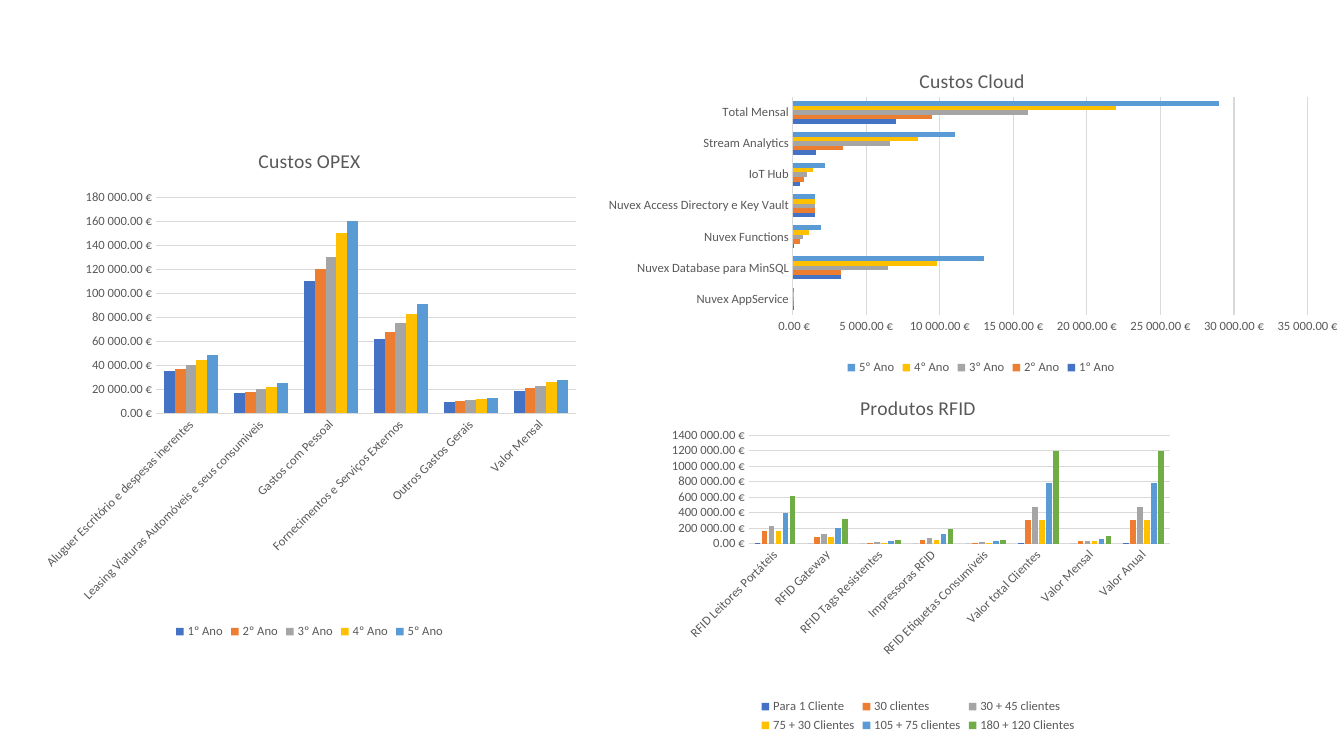
from lxml import etree
from pptx import Presentation
from pptx.chart.data import CategoryChartData as Data
from pptx.dml.color import RGBColor as RGB
from pptx.enum.chart import XL_CHART_TYPE as Kind, XL_LEGEND_POSITION as Side, XL_TICK_MARK as Tick
from pptx.oxml.ns import qn
from pptx.util import Inches, Pt

FONT = "Calibri"
HUES = {"blue": "4472C4", "orange": "ED7D31", "gray": "A5A5A5",
        "gold": "FFC000", "sky": "5B9BD5", "green": "70AD47"}
INK = {"text": "595959", "grid": "D9D9D9"}
EURO = '#\\ ##0.00\\ "€"'
YEARS = [f"{n}º Ano" for n in range(1, 6)]

# Content: each row is a category, with one value per series, counted in units.
# Plot and head places are percentages of the chart.
CHARTS = [
    {"title": "Custos Cloud", "kind": Kind.BAR_CLUSTERED,
     "box": (5.98, 0.45, 7.5, 3.31), "plot": (25.1, 15.5, 68.1, 65.2),
     "head": (41.4, 5.4),
     "gap": 182, "lap": 0, "top": 35000, "step": 5000, "line": True,
     "names": YEARS, "unit": 100,
     "rows": {
         "Nuvex AppService": (1, 1, 1, 1, 1),
         "Nuvex Database para MinSQL": (33, 33, 65, 98, 130),
         "Nuvex Functions": (1, 5, 7, 11, 19),
         "Nuvex Access Directory e Key Vault": (15, 15, 15, 15, 15),
         "IoT Hub": (5, 8, 10, 14, 22),
         "Stream Analytics": (16, 34, 66, 85, 110),
         "Total Mensal": (70, 95, 160, 220, 290)}},
    {"title": "Produtos RFID", "kind": Kind.COLUMN_CLUSTERED,
     "box": (6.44, 3.75, 5.33, 3.56), "plot": (18.5, 15.9, 78.4, 30.3),
     "head": None,
     "gap": 219, "lap": -27, "top": 1400000, "step": 200000, "line": True,
     "names": ["Para 1 Cliente", "30 clientes", "30 + 45 clientes",
               "75 + 30 Clientes", "105 + 75 clientes", "180 + 120 Clientes"],
     "unit": 10000,
     "rows": {
         "RFID Leitores Portáteis": (1, 16, 23, 16, 39, 62),
         "RFID Gateway": (0, 8, 12, 8, 20, 32),
         "RFID Tags Resistentes": (0, 1, 2, 1, 3, 5),
         "Impressoras RFID": (0, 5, 7, 5, 12, 19),
         "RFID Etiquetas Consumíveis": (0, 1, 2, 1, 3, 5),
         "Valor total Clientes": (1, 31, 47, 31, 78, 120),
         "Valor Mensal": (0, 3, 4, 3, 6, 10),
         "Valor Anual": (1, 31, 47, 31, 78, 120)}},
    {"title": "Custos OPEX", "kind": Kind.COLUMN_CLUSTERED,
     "box": (0.32, 1.27, 5.5, 5.11), "plot": None, "head": None,
     "gap": 150, "lap": 0, "top": 180000, "step": 20000, "line": False,
     "names": YEARS, "unit": 1000,
     "rows": {
         "Aluguer Escritório e despesas inerentes": (35, 37, 40, 44, 49),
         "Leasing Viaturas Automóveis e seus consumiveis": (17, 18, 20, 22, 25),
         "Gastos com Pessoal": (110, 120, 130, 150, 160),
         "Fornecimentos e Serviços Externos": (62, 68, 75, 83, 91),
         "Outros Gastos Gerais": (9, 10, 11, 12, 13),
         "Valor Mensal": (19, 21, 23, 26, 28)}},
]


def style(font, size=9, color=INK["text"]):
    font.name, font.size, font.bold = FONT, Pt(size), False
    font.color.rgb = RGB.from_string(color)


def write(frame, text, **form):
    frame.text = text
    style(frame.paragraphs[0].runs[0].font, **form)


def rule(line, shown=True):
    if shown:
        line.width = Pt(0.75)
        line.color.rgb = RGB.from_string(INK["grid"])
    else:
        line.fill.background()


def place(part, spots, at=0, marks=()):
    """Fix a chart part at percentages of the chart."""
    for old in part.findall(qn("c:layout")):
        part.remove(old)
    layout = etree.Element(qn("c:layout"))
    part.insert(at, layout)
    man = etree.SubElement(layout, qn("c:manualLayout"))
    modes = [*marks, ("xMode", "edge"), ("yMode", "edge")]
    sizes = [(tag, round(n / 100, 3)) for tag, n in zip("xywh", spots)]
    for tag, val in modes + sizes:
        etree.SubElement(man, qn(f"c:{tag}")).set("val", str(val))


def draw(slide, item):
    data = Data(number_format=EURO)
    data.categories = list(item["rows"])
    for name, vals in zip(item["names"], zip(*item["rows"].values())):
        data.add_series(name, [n * item["unit"] for n in vals])
    box = [Inches(n) for n in item["box"]]
    chart = slide.shapes.add_chart(item["kind"], *box, data).chart
    style(chart.font, size=10, color="000000")

    # Title and legend
    chart.has_title = True
    title = chart.chart_title
    write(title.text_frame, item["title"], size=14)
    title.include_in_layout = False
    if item["head"]:
        place(title._element, item["head"], at=1)
    chart.has_legend = True
    chart.legend.position = Side.BOTTOM
    chart.legend.include_in_layout = False
    style(chart.legend.font)

    # Bars
    plot = chart.plots[0]
    plot.vary_by_categories = False
    plot.gap_width, plot.overlap = item["gap"], item["lap"]
    for bar, hue in zip(plot.series, HUES.values()):
        bar.format.fill.solid()
        bar.format.fill.fore_color.rgb = RGB.from_string(hue)
        bar.invert_if_negative = False

    # Axes
    cat, val = chart.category_axis, chart.value_axis
    for axis in (cat, val):
        axis.major_tick_mark = axis.minor_tick_mark = Tick.NONE
        style(axis.tick_labels.font)
    rule(cat.format.line, item["line"])
    rule(val.format.line, False)
    rule(val.major_gridlines.format.line)
    val.minimum_scale, val.maximum_scale = 0, item["top"]
    val.major_unit = item["step"]
    val.tick_labels.number_format = EURO
    val.tick_labels.number_format_is_linked = False
    if item["kind"] == Kind.COLUMN_CLUSTERED:
        turn = cat._element.find(qn("c:txPr")).find(qn("a:bodyPr"))
        turn.set("rot", "-2700000")
        turn.set("vert", "horz")
    if item["plot"]:
        place(chart._chartSpace.chart.plotArea, item["plot"],
              marks=[("layoutTarget", "inner")])


deck = Presentation()
deck.slide_width, deck.slide_height = Inches(13.33), Inches(7.5)
slide = deck.slides.add_slide(deck.slide_layouts[6])
for item in CHARTS:
    draw(slide, item)
deck.save("out.pptx")
